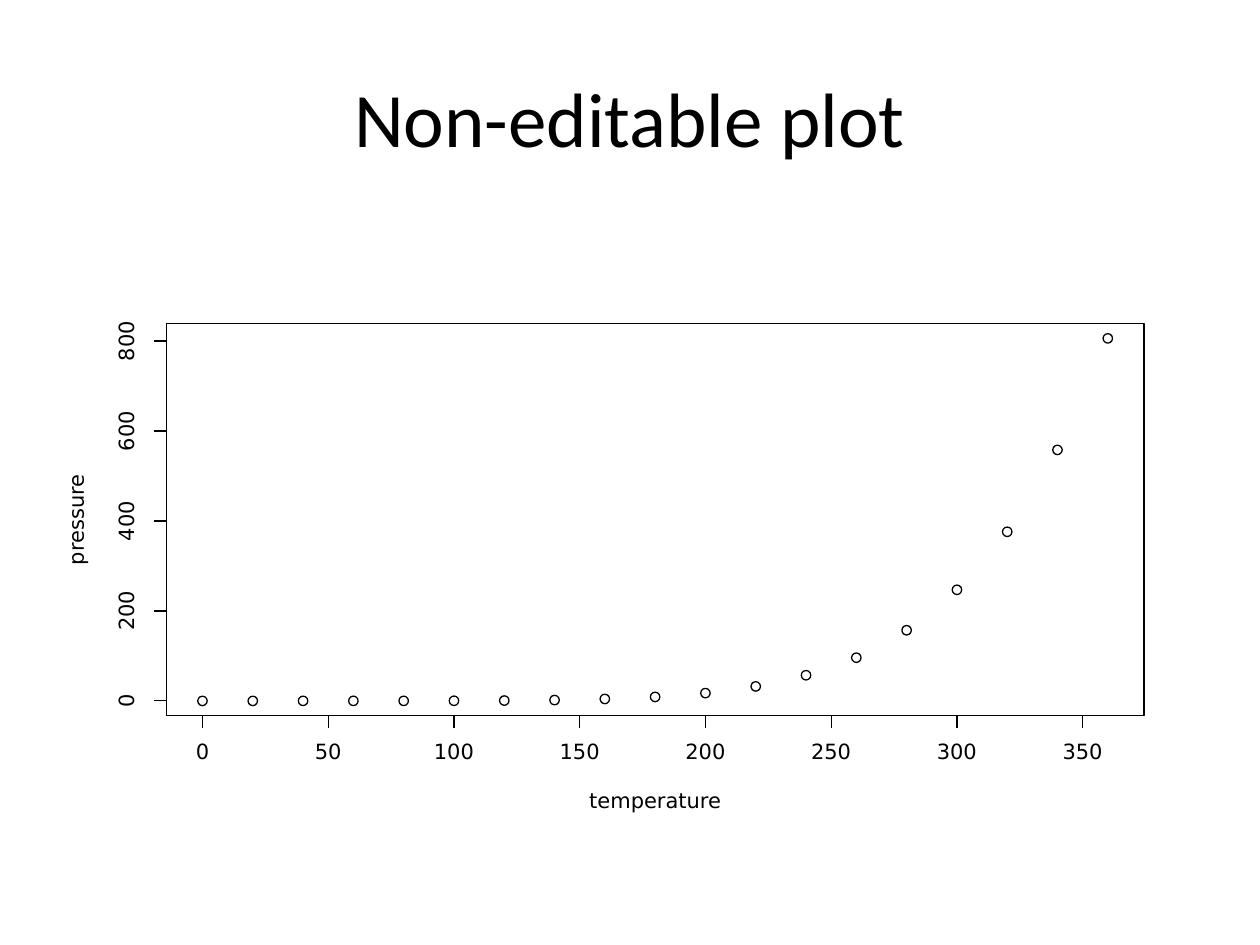
from dataclasses import dataclass

import pptx
import pptx.dml.color
import pptx.enum.shapes
import pptx.enum.text
import pptx.oxml
import pptx.oxml.ns
import pptx.util

Pt = pptx.util.Pt
SHAPE = pptx.enum.shapes.MSO_SHAPE
COLORS = {"ink": "000000", "paper": "FFFFFF"}
LINE_WIDTH = 0.75
MARKER = 5.4
TICK = 7.2
DIGIT_WIDTH = 7.63
LABEL_HEIGHT = 9.4

TEMPERATURES = range(0, 361, 20)
PRESSURES = [0, 0, 0.01, 0.03, 0.09, 0.27, 0.75, 1.85, 4.2, 8.8,
             17.3, 32.1, 57, 96, 157, 247, 376, 558, 806]


@dataclass
class Box:
    left: float
    top: float
    width: float
    height: float

    def lengths(self) -> list:
        return [Pt(v) for v in (self.left, self.top, self.width, self.height)]


@dataclass
class Scale:
    """Linear map from a data value to a position in points."""
    zero: float
    step: float

    def at(self, value: float) -> float:
        return self.zero + value * self.step


@dataclass
class Label:
    text: str
    x: float
    y: float
    width: float
    rotation: int = 0


TITLE = Box(36, 21.6, 648, 90)
BACKGROUND = Box(36, 126, 648, 356.4)
FRAME = Box(95.1, 185, 558.6, 223.9)
BOTTOM = FRAME.top + FRAME.height
X = Scale(115.7, 1.437)
Y = Scale(400.5, -0.257)
X_TICKS = range(0, 351, 50)
Y_TICKS = range(0, 801, 200)


def rgb(name: str) -> pptx.dml.color.RGBColor:
    return pptx.dml.color.RGBColor.from_string(COLORS[name])


def add_outline(shapes, kind, box: Box, line: str = "ink", fill: str = "") -> None:
    s = shapes.add_shape(kind, *box.lengths())
    s.shadow.inherit = False
    if fill:
        s.fill.solid()
        s.fill.fore_color.rgb = rgb(fill)
    else:
        s.fill.background()
    s.line.color.rgb = rgb(line)
    s.line.width = Pt(LINE_WIDTH)


def add_line(shapes, x1: float, y1: float, x2: float, y2: float) -> None:
    s = shapes.add_connector(pptx.enum.shapes.MSO_CONNECTOR.STRAIGHT,
                             Pt(x1), Pt(y1), Pt(x2), Pt(y2))
    s.line.color.rgb = rgb("ink")
    s.line.width = Pt(LINE_WIDTH)
    effects = pptx.oxml.parse_xml(
        f"<a:effectLst {pptx.oxml.ns.nsdecls('a')}/>")
    s._element.spPr.append(effects)


def add_run(p, text: str, font: str, size: float) -> None:
    r = p.add_run()
    r.text = text
    r.font.name = font
    r.font.size = Pt(size)
    r.font.color.rgb = rgb("ink")


def add_label(shapes, label: Label) -> None:
    """Draw a label centred on its x and y."""
    box = Box(label.x - label.width / 2, label.y - LABEL_HEIGHT / 2,
              label.width, LABEL_HEIGHT)
    s = shapes.add_textbox(*box.lengths())
    s.rotation = label.rotation
    tf = s.text_frame
    tf.word_wrap = False
    tf.vertical_anchor = pptx.enum.text.MSO_ANCHOR.MIDDLE
    tf.margin_left = tf.margin_right = tf.margin_top = tf.margin_bottom = 0
    p = tf.paragraphs[0]
    p.alignment = pptx.enum.text.PP_ALIGN.CENTER
    p.line_spacing = Pt(12)
    add_run(p, label.text, "DejaVu Sans", 12)


def add_title(slide, text: str) -> None:
    s = slide.shapes.title
    s.left, s.top, s.width, s.height = TITLE.lengths()
    tf = s.text_frame
    tf.vertical_anchor = pptx.enum.text.MSO_ANCHOR.MIDDLE
    p = tf.paragraphs[0]
    p.alignment = pptx.enum.text.PP_ALIGN.CENTER
    add_run(p, text, "Calibri", 44)


def add_plot(shapes) -> None:
    add_outline(shapes, SHAPE.RECTANGLE, BACKGROUND, "paper", "paper")
    for temperature, pressure in zip(TEMPERATURES, PRESSURES):
        add_outline(shapes, SHAPE.OVAL,
                    Box(X.at(temperature) - MARKER / 2,
                        Y.at(pressure) - MARKER / 2, MARKER, MARKER))

    add_line(shapes, X.at(X_TICKS[0]), BOTTOM, X.at(X_TICKS[-1]), BOTTOM)
    for value in X_TICKS:
        x, text = X.at(value), str(value)
        add_line(shapes, x, BOTTOM, x, BOTTOM + TICK)
        add_label(shapes, Label(text, x, 430.2, DIGIT_WIDTH * len(text)))

    add_line(shapes, FRAME.left, Y.at(Y_TICKS[0]), FRAME.left, Y.at(Y_TICKS[-1]))
    for value in Y_TICKS:
        y, text = Y.at(value), str(value)
        add_line(shapes, FRAME.left, y, FRAME.left - TICK, y)
        add_label(shapes, Label(text, 73.1, y, DIGIT_WIDTH * len(text), 270))

    add_outline(shapes, SHAPE.RECTANGLE, FRAME)
    add_label(shapes, Label("temperature", FRAME.left + FRAME.width / 2, 458.3, 75.6))
    add_label(shapes, Label("pressure", 44.3, FRAME.top + FRAME.height / 2, 52.6, 270))


def main() -> None:
    prs = pptx.Presentation()
    prs.slide_width, prs.slide_height = Pt(720), Pt(540)
    slide = prs.slides.add_slide(prs.slide_layouts[5])
    add_title(slide, "Non-editable plot")
    add_plot(slide.shapes.add_group_shape().shapes)
    prs.save("out.pptx")


if __name__ == "__main__":
    main()
